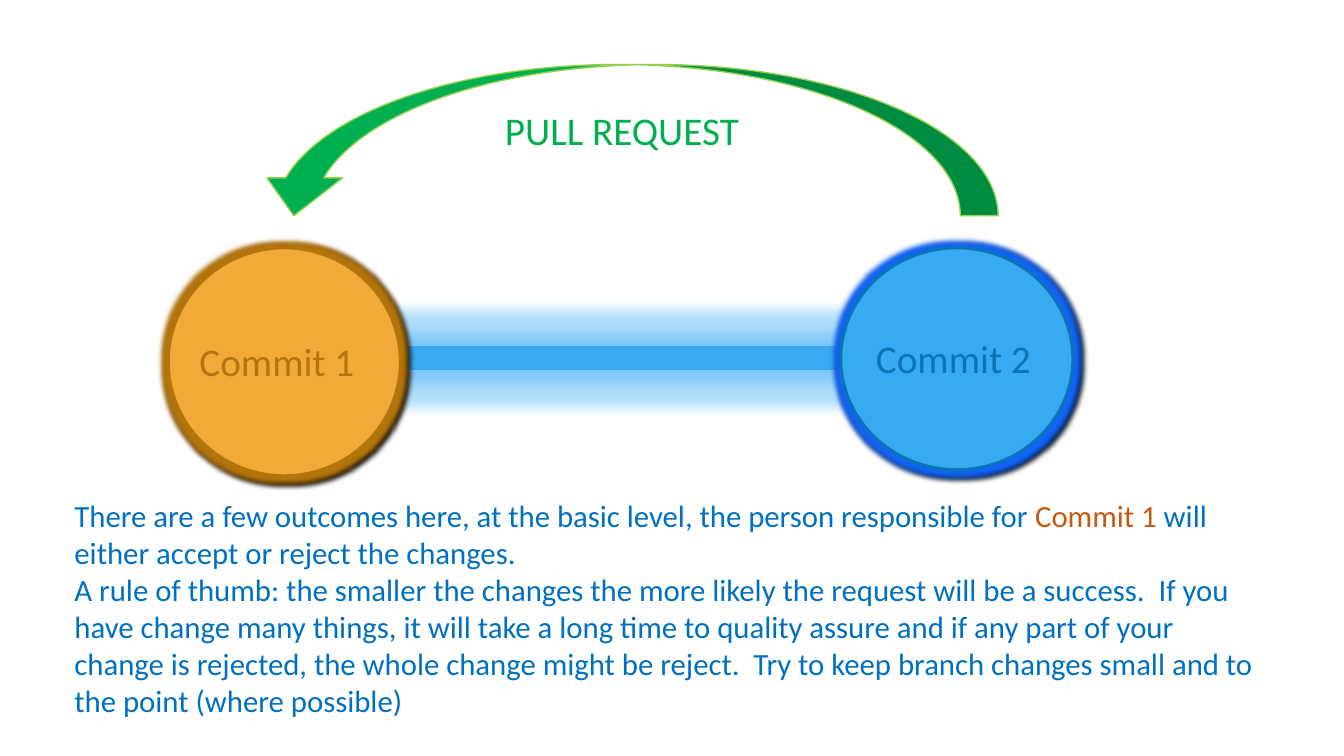
from dataclasses import dataclass
from typing import Optional

import pptx
import pptx.dml.color
import pptx.enum.shapes
import pptx.enum.text
import pptx.oxml
import pptx.oxml.ns
import pptx.util

PX = 9144  # EMU in one px, 100 px to the inch
SHAPE = pptx.enum.shapes.MSO_SHAPE


@dataclass(frozen=True)
class Theme:
    font: str = "Calibri"
    label: int = 28
    body: int = 22
    sky: str = "37AAF1"
    deep: str = "0C74B4"
    royal: str = "1164F5"
    amber: str = "F1AA37"
    brown: str = "B4740C"
    green: str = "00B050"
    lime: str = "92D050"
    blue: str = "0070C0"
    rust: str = "C55A11"
    black: str = "000000"


@dataclass(frozen=True)
class Box:
    left: int
    top: int
    width: int
    height: int

    def emu(self) -> list[int]:
        return [n * PX for n in (self.left, self.top, self.width, self.height)]


@dataclass(frozen=True)
class Glow:
    color: str
    size: int
    alpha: int = 100


@dataclass(frozen=True)
class Form:
    kind: SHAPE
    box: Box
    fill: str
    line: str
    weight: float
    glow: Optional[Glow] = None
    shade: bool = False
    flip: bool = False


@dataclass(frozen=True)
class Note:
    box: Box
    size: int
    paras: list[list[tuple[str, str]]]  # runs of text and colour


T = Theme()

# Link, commits and the arrow of the request
FORMS = [
    Form(SHAPE.RECTANGLE, Box(379, 346, 469, 18), T.sky, T.sky, 4.5,
         Glow(T.sky, 18, 40)),
    Form(SHAPE.OVAL, Box(834, 246, 230, 220), T.sky, T.deep, 2,
         Glow(T.royal, 8), shade=True),
    Form(SHAPE.OVAL, Box(167, 246, 230, 226), T.amber, T.brown, 2,
         Glow(T.brown, 8), shade=True),
    Form(SHAPE.CURVED_DOWN_ARROW, Box(254, 64, 736, 150), T.green, T.lime, 1,
         flip=True),
]

# Labels and explanation
NOTES = [
    Note(Box(188, 330, 191, 57), T.label, [[("Commit 1", T.brown)]]),
    Note(Box(859, 327, 223, 57), T.label, [[("Commit 2", T.deep)]]),
    Note(Box(491, 101, 262, 57), T.label, [[("PULL REQUEST", T.green)]]),
    Note(Box(64, 488, 1206, 269), T.body, [
        [("There are a few outcomes here, at the basic level, "
          "the person responsible for ", T.blue),
         ("Commit 1 ", T.rust),
         ("will either accept or reject the changes.", T.blue)],
        [("A rule of thumb: the smaller the changes the more likely the "
          "request will be a success.  If you have change many things, it "
          "will take a long time to quality assure and if any part of your "
          "change is rejected, the whole change might be reject.  Try to "
          "keep branch changes small and to the point (where possible)",
          T.blue)],
    ]),
]


def rgb(code: str) -> pptx.dml.color.RGBColor:
    return pptx.dml.color.RGBColor.from_string(code)


def add_effect(shape, tag: str, attrs: str, color: str, alpha: int) -> None:
    effects = shape.element.spPr.find(pptx.oxml.ns.qn("a:effectLst"))
    effects.append(pptx.oxml.parse_xml(
        f'<a:{tag} {pptx.oxml.ns.nsdecls("a")} {attrs}>'
        f'<a:srgbClr val="{color}"><a:alpha val="{alpha * 1000}"/></a:srgbClr>'
        f'</a:{tag}>'))


def draw_form(slide, form: Form) -> None:
    shape = slide.shapes.add_shape(form.kind, *form.box.emu())
    shape.shadow.inherit = False
    shape.fill.solid()
    shape.fill.fore_color.rgb = rgb(form.fill)
    shape.line.color.rgb = rgb(form.line)
    shape.line.width = pptx.util.Pt(form.weight)
    if form.flip:
        shape.element.spPr.xfrm.set("flipH", "1")
    if form.glow:
        rad = pptx.util.Pt(form.glow.size)
        add_effect(shape, "glow", f'rad="{rad}"',
                   form.glow.color, form.glow.alpha)
    if form.shade:
        dist = pptx.util.Pt(2.8)
        add_effect(shape, "outerShdw",
                   f'blurRad="0" dist="{dist}" dir="{45 * 60000}"',
                   T.black, 100)


def draw_note(slide, note: Note) -> None:
    frame = slide.shapes.add_textbox(*note.box.emu()).text_frame
    frame.word_wrap = True
    frame.auto_size = pptx.enum.text.MSO_AUTO_SIZE.SHAPE_TO_FIT_TEXT
    frame.text = "\n" * (len(note.paras) - 1)
    for para, runs in zip(frame.paragraphs, note.paras):
        for text, color in runs:
            run = para.add_run()
            run.text = text
            run.font.name = T.font
            run.font.size = pptx.util.Pt(note.size)
            run.font.color.rgb = rgb(color)


def main() -> None:
    deck = pptx.Presentation()
    deck.slide_width, deck.slide_height = 1333 * PX, 750 * PX
    slide = deck.slides.add_slide(deck.slide_layouts.get_by_name("Blank"))
    for form in FORMS:
        draw_form(slide, form)
    for note in NOTES:
        draw_note(slide, note)
    deck.save("out.pptx")


if __name__ == "__main__":
    main()
